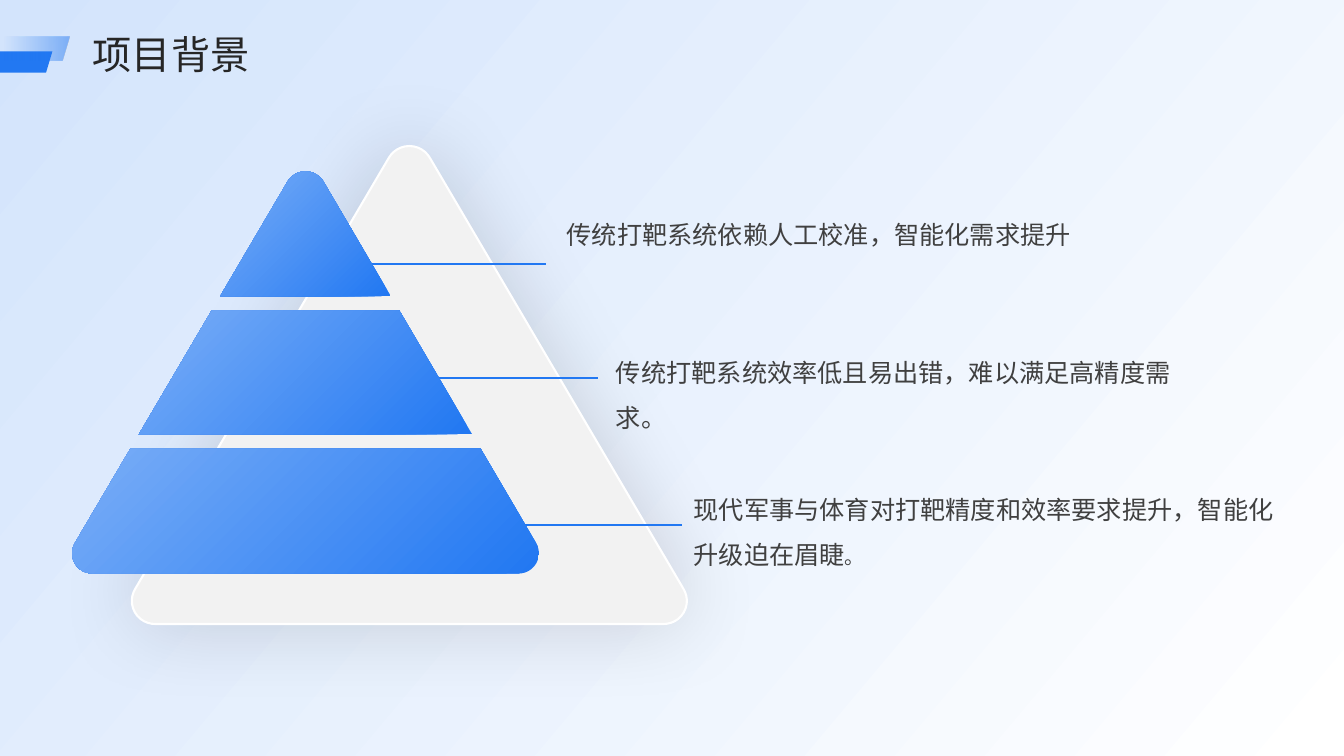
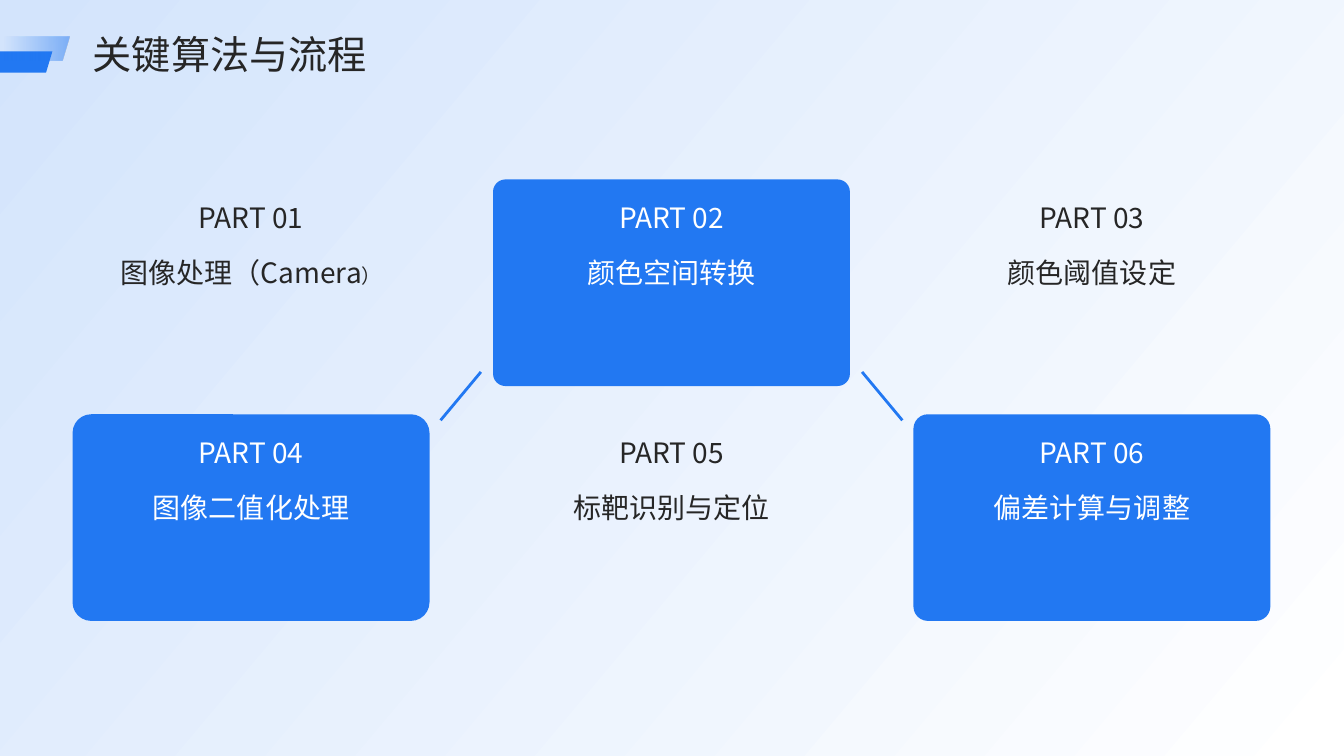
"""Build two slides on a target-practice system: its background and its key algorithms."""
from dataclasses import dataclass
from typing import Any

from lxml import etree
from pptx import Presentation
from pptx.dml.color import RGBColor
from pptx.enum.shapes import MSO_CONNECTOR, MSO_SHAPE
from pptx.enum.text import MSO_ANCHOR, MSO_AUTO_SIZE, PP_ALIGN
from pptx.oxml.ns import qn
from pptx.util import Inches, Pt

COLORS = {
    "blue": "2278F2",
    "light_blue": "7AAEF7",
    "sky": "D3E4FC",
    "white": "FFFFFF",
    "panel": "F2F2F2",
    "ink": "262626",
    "body": "404040",
    "black": "000000",
}
FONT = "Noto Sans CJK SC"
TITLE_ONLY = 5
LEFT, CENTER = PP_ALIGN.LEFT, PP_ALIGN.CENTER
TOP, MIDDLE = MSO_ANCHOR.TOP, MSO_ANCHOR.MIDDLE
NO_AUTOFIT = MSO_AUTO_SIZE.NONE
PARALLELOGRAM = MSO_SHAPE.PARALLELOGRAM
ROUNDED = MSO_SHAPE.ROUNDED_RECTANGLE
STRAIGHT = MSO_CONNECTOR.STRAIGHT

SIDE_SLOPE = 1.7
ARC_STEPS = 12
CARD_WIDTH, CARD_HEIGHT = 3.54, 2.05
CARD_LEFT, CARD_TOP = 0.72, 1.78
COLUMN_STEP, ROW_STEP = 4.17, 2.33
CARD_TEXT_WIDTH = 3.15


@dataclass(frozen=True)
class Box:
    left: float
    top: float
    width: float
    height: float

    def lengths(self) -> tuple:
        return tuple(Inches(value) for value in (self.left, self.top, self.width, self.height))


@dataclass(frozen=True)
class TextStyle:
    size: float
    color: str
    spacing: float
    align: Any = LEFT
    anchor: Any = TOP


@dataclass(frozen=True)
class Layer:
    top: float
    bottom: float
    top_setback: float = 0
    bottom_setback: float = 0


@dataclass(frozen=True)
class Reason:
    box: Box
    text: str
    line_end: float
    line_y: float
    small_tail: str = ""


@dataclass(frozen=True)
class Part:
    name: str
    corner: float = 0
    small_tail: str = ""


TITLE_STYLE = TextStyle(28, "ink", 1.3, anchor=MIDDLE)
REASON_STYLE = TextStyle(18, "body", 1.5)

LAYERS = (
    Layer(1.5, 2.94, top_setback=0.35),
    Layer(3.08, 4.31),
    Layer(4.45, 5.69, bottom_setback=0.35),
)
REASONS = (
    Reason(Box(5.62, 2.03, 5.5, 1.23), "传统打靶系统依赖人工校准，智能化需求提升", 5.42, 2.62),
    Reason(Box(6.11, 3.39, 5.5, 1.23), "传统打靶系统效率低且易出错，难以满足高精度需求。", 5.93, 3.75),
    Reason(Box(6.88, 4.75, 5.78, 1.23),
           "现代军事与体育对打靶精度和效率要求提升，智能化升级迫在眉睫", 6.76, 5.21, "。"),
)
PARTS = (
    Part("图像处理（Camera", small_tail="）"),
    Part("颜色空间转换", 0.06),
    Part("颜色阈值设定"),
    Part("图像二值化处理", 0.09),
    Part("标靶识别与定位"),
    Part("偏差计算与调整", 0.07),
)


def rgb(name: str) -> RGBColor:
    return RGBColor.from_string(COLORS[name])


def fill_solid(shape: Any, color: str) -> None:
    shape.fill.solid()
    shape.fill.fore_color.rgb = rgb(color)
    shape.line.fill.background()
    shape.shadow.inherit = False


def fill_gradient(fill: Any, start: str, end: str, clockwise: float, first: float = 0) -> None:
    fill.gradient()
    fill.gradient_angle = 360 - clockwise
    for stop, color, position in zip(fill.gradient_stops, (start, end), (first, 1)):
        stop.color.rgb = rgb(color)
        stop.position = position


def write_text(shape: Any, pieces: list[tuple[str, float]], style: TextStyle) -> None:
    frame = shape.text_frame
    frame_format = {
        "margin_left": 0, "margin_right": 0, "margin_top": 0, "margin_bottom": 0,
        "word_wrap": True, "auto_size": NO_AUTOFIT, "vertical_anchor": style.anchor,
    }
    for attribute, value in frame_format.items():
        setattr(frame, attribute, value)
    paragraph = frame.paragraphs[0]
    paragraph.alignment = style.align
    paragraph.line_spacing = style.spacing
    for text, size in pieces:
        run = paragraph.add_run()
        run.text = text
        for attribute, value in {"size": Pt(size), "name": FONT}.items():
            setattr(run.font, attribute, value)
        run.font.color.rgb = rgb(style.color)
        etree.SubElement(run._r.get_or_add_rPr(), qn("a:ea"), typeface=FONT)


def add_text(slide: Any, box: Box, text: str, style: TextStyle, small_tail: str = "") -> None:
    pieces = [(text, style.size)] + ([(small_tail, 14)] if small_tail else [])
    write_text(slide.shapes.add_textbox(*box.lengths()), pieces, style)


def add_preset(slide: Any, kind: Any, box: Box, adjustment: float) -> Any:
    shape = slide.shapes.add_shape(kind, *box.lengths())
    shape.adjustments[0] = adjustment
    fill_solid(shape, "blue")
    return shape


def add_line(slide: Any, start: complex, end: complex, width: float) -> None:
    ends = (start.real, start.imag, end.real, end.imag)
    connector = slide.shapes.add_connector(STRAIGHT, *(Inches(value) for value in ends))
    connector.line.color.rgb = rgb("blue")
    connector.line.width = Pt(width)
    etree.SubElement(connector._element.spPr, qn("a:effectLst"))


def round_corner(before: complex, corner: complex, after: complex, setback: float) -> list[complex]:
    if not setback:
        return [corner]
    start, end = (corner + setback * (point - corner) / abs(point - corner)
                  for point in (before, after))
    weight = abs(end - start) / (2 * setback)
    points = []
    for step in range(ARC_STEPS + 1):
        ratio = step / ARC_STEPS
        shares = ((1 - ratio) ** 2, 2 * ratio * (1 - ratio) * weight, ratio ** 2)
        points.append((shares[0] * start + shares[1] * corner + shares[2] * end) / sum(shares))
    return points


def add_layer(slide: Any, apex: complex, layer: Layer) -> Any:
    upper = (layer.top - apex.imag) / SIDE_SLOPE
    lower = (layer.bottom - apex.imag) / SIDE_SLOPE
    offsets = [upper, -upper] if upper else [0]
    corners = [(complex(apex.real - offset, layer.top), layer.top_setback) for offset in offsets]
    corners += [(complex(apex.real + offset, layer.bottom), layer.bottom_setback)
                for offset in (lower, -lower)]
    outline = []
    for index, (corner, setback) in enumerate(corners):
        following = corners[(index + 1) % len(corners)][0]
        outline += round_corner(corners[index - 1][0], corner, following, setback)
    points = [(Inches(point.real), Inches(point.imag)) for point in outline]
    builder = slide.shapes.build_freeform(*points[0])
    builder.add_line_segments(points[1:], close=True)
    return builder.convert_to_shape()


def add_titled_slide(presentation: Any, title: str) -> Any:
    slide = presentation.slides.add_slide(presentation.slide_layouts[TITLE_ONLY])
    add_preset(slide, PARALLELOGRAM, Box(-0.15, 0.51, 0.67, 0.21), 0.3)
    band = add_preset(slide, PARALLELOGRAM, Box(-0.15, 0.36, 0.84, 0.24), 0.3)
    fill_gradient(band.fill, "blue", "blue", 0, 0.23)
    for color, alpha in zip(band._element.spPr.iter(qn("a:srgbClr")), ("0", "50000")):
        etree.SubElement(color, qn("a:alpha"), val=alpha)
    heading = slide.shapes.title
    heading.left, heading.top, heading.width, heading.height = Box(0.92, 0.19, 11.75, 0.55).lengths()
    write_text(heading, [(title, TITLE_STYLE.size)], TITLE_STYLE)
    return slide


def add_shadow(shape: Any, color: str, alpha: int, blur: float) -> None:
    effects = shape._element.spPr.find(qn("a:effectLst"))
    shadow = etree.SubElement(effects, qn("a:outerShdw"), blurRad=str(Pt(blur)), dist="0",
                              dir="0", algn="ctr", rotWithShape="0")
    shade = etree.SubElement(shadow, qn("a:srgbClr"), val=COLORS[color])
    etree.SubElement(shade, qn("a:alpha"), val=str(alpha * 1000))


def build_background_slide(presentation: Any) -> None:
    slide = add_titled_slide(presentation, "项目背景")
    panel = add_layer(slide, 4.06 + 1.22j, Layer(1.22, 6.19, 0.4, 0.4))
    fill_solid(panel, "panel")
    panel.line.color.rgb = rgb("white")
    panel.line.width = Pt(1.5)
    add_shadow(panel, "black", 15, 62)
    for reason in REASONS:
        add_text(slide, reason.box, reason.text, REASON_STYLE, reason.small_tail)
        add_line(slide, complex(3.41, reason.line_y), complex(reason.line_end, reason.line_y), 1.5)
    for layer in LAYERS:
        shape = add_layer(slide, 3.03 + 1.5j, layer)
        fill_solid(shape, "blue")
        fill_gradient(shape.fill, "blue", "light_blue", 225, 0.01)


def build_algorithm_slide(presentation: Any) -> None:
    slide = add_titled_slide(presentation, "关键算法与流程")
    for index, part in enumerate(PARTS):
        row, column = divmod(index, 3)
        left, top = CARD_LEFT + column * COLUMN_STEP, CARD_TOP + row * ROW_STEP
        if part.corner:
            add_preset(slide, ROUNDED, Box(left, top, CARD_WIDTH, CARD_HEIGHT), part.corner)
        color = "white" if part.corner else "ink"
        text_left = left + (CARD_WIDTH - CARD_TEXT_WIDTH) / 2
        add_text(slide, Box(text_left, top + 0.15, CARD_TEXT_WIDTH, 0.39), f"PART {index + 1:02}",
                 TextStyle(20, color, 1.2, CENTER, MIDDLE))
        add_text(slide, Box(text_left, top + 0.59, CARD_TEXT_WIDTH, 1.26), part.name,
                 TextStyle(20, color, 1.5, CENTER), part.small_tail)
    for side in (-1, 1):
        add_line(slide, complex(6.66 + side * 1.89, 3.69), complex(6.66 + side * 2.29, 4.17), 2)


def main() -> None:
    presentation = Presentation()
    presentation.slide_width, presentation.slide_height = Inches(13.33), Inches(7.5)
    layout = presentation.slide_layouts[TITLE_ONLY]
    fill_gradient(layout.background.fill, "sky", "white", 40)
    build_background_slide(presentation)
    build_algorithm_slide(presentation)
    presentation.save("out.pptx")


if __name__ == "__main__":
    main()
